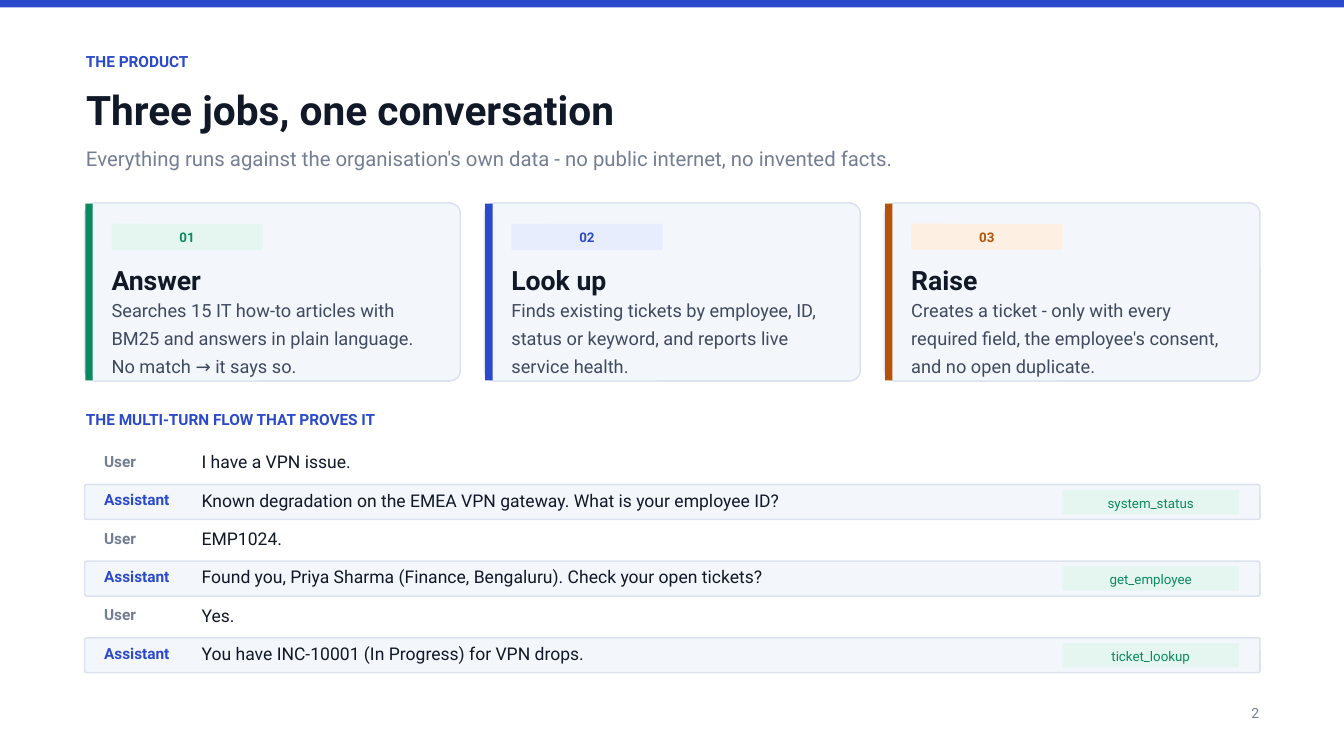
from dataclasses import dataclass
from typing import Any

from pptx import Presentation
from pptx.dml.color import RGBColor
from pptx.enum.shapes import MSO_SHAPE
from pptx.enum.text import MSO_ANCHOR, MSO_AUTO_SIZE, PP_ALIGN
from pptx.util import Emu, Pt

PX = 9144

COLORS = {
    "blue": "2B4ACB", "blue_tint": "E8EDFD",
    "green": "0B8A5F", "green_tint": "E4F6EF",
    "orange": "B55409", "orange_tint": "FDF0E3",
    "ink": "111827", "body": "3F495F", "muted": "747E93",
    "panel": "F3F6FB", "border": "DDE3EE",
}


@dataclass(frozen=True)
class Style:
    size: float
    leading: float
    color: str
    bold: bool = False
    align: PP_ALIGN = PP_ALIGN.LEFT


STYLES = {
    "eyebrow": Style(16.5, 25.4, "blue", True),
    "title": Style(43.5, 66.9, "ink", True),
    "subtitle": Style(21.8, 33.4, "muted"),
    "page": Style(15, 23.1, "muted", align=PP_ALIGN.RIGHT),
    "heading": Style(28.5, 43.8, "ink", True),
    "body": Style(19.5, 30, "body"),
    "user": Style(16.5, 25.4, "muted", True),
    "assistant": Style(16.5, 25.4, "blue", True),
    "message": Style(18.8, 28.8, "ink"),
}


@dataclass(frozen=True)
class Box:
    x: int
    y: int
    w: int
    h: int

    def emu(self) -> tuple[Emu, ...]:
        return tuple(Emu(v * PX) for v in (self.x, self.y, self.w, self.h))


@dataclass(frozen=True)
class Card:
    number: str
    color: str
    heading: str
    body: str


@dataclass(frozen=True)
class Turn:
    message: str
    tool: str = ""


CARDS = [
    Card("01", "green", "Answer",
         "Searches 15 IT how-to articles with BM25 and answers in plain language. "
         "No match → it says so."),
    Card("02", "blue", "Look up",
         "Finds existing tickets by employee, ID, status or keyword, "
         "and reports live service health."),
    Card("03", "orange", "Raise",
         "Creates a ticket - only with every required field, "
         "the employee's consent, and no open duplicate."),
]

TURNS = [
    Turn("I have a VPN issue."),
    Turn("Known degradation on the EMEA VPN gateway. What is your employee ID?",
         "system_status"),
    Turn("EMP1024."),
    Turn("Found you, Priya Sharma (Finance, Bengaluru). Check your open tickets?",
         "get_employee"),
    Turn("Yes."),
    Turn("You have INC-10001 (In Progress) for VPN drops.", "ticket_lookup"),
]


def rgb(name: str) -> RGBColor:
    return RGBColor.from_string(COLORS[name])


def apply(target: Any, values: dict[str, Any]) -> None:
    for name, value in values.items():
        setattr(target, name, value)


def write(sp: Any, text: str, style: Style, margin: int = 0,
          anchor: MSO_ANCHOR = MSO_ANCHOR.TOP) -> None:
    tf = sp.text_frame
    frame = dict.fromkeys(
        ("margin_left", "margin_top", "margin_right", "margin_bottom"), Emu(margin * PX))
    apply(tf, frame | {"word_wrap": True, "auto_size": MSO_AUTO_SIZE.NONE,
                       "vertical_anchor": anchor})
    p = tf.paragraphs[0]
    apply(p, {"alignment": style.align, "line_spacing": Pt(style.leading)})
    r = p.add_run()
    r.text = text
    apply(r.font, {"name": "Roboto", "size": Pt(style.size), "bold": style.bold})
    r.font.color.rgb = rgb(style.color)


def add_text(s: Any, box: Box, text: str, style: str) -> None:
    write(s.shapes.add_textbox(*box.emu()), text, STYLES[style])


def add_panel(s: Any, box: Box, fill: str, radius: int = 0, border: str = "") -> Any:
    kind = MSO_SHAPE.ROUNDED_RECTANGLE if radius else MSO_SHAPE.RECTANGLE
    sp = s.shapes.add_shape(kind, *box.emu())
    sp.shadow.inherit = False
    if radius:
        sp.adjustments[0] = radius / min(box.w, box.h)
    sp.fill.solid()
    sp.fill.fore_color.rgb = rgb(fill)
    if border:
        sp.line.color.rgb = rgb(border)
        sp.line.width = Pt(1.65)
    else:
        sp.line.fill.background()
    return sp


def add_chip(s: Any, box: Box, text: str, color: str, bold: bool) -> None:
    sp = add_panel(s, box, f"{color}_tint", 2)
    style = Style(14.3, 18.8, color, bold, PP_ALIGN.CENTER)
    write(sp, text, style, 6, MSO_ANCHOR.MIDDLE)


def add_card(s: Any, x: int, card: Card) -> None:
    add_panel(s, Box(x, 302, 559, 265), "panel", 16, "border")
    add_panel(s, Box(x + 1, 303, 11, 263), card.color)
    add_chip(s, Box(x + 40, 333, 225, 39), card.number, card.color, True)
    add_text(s, Box(x + 40, 379, 479, 62), card.heading, "heading")
    add_text(s, Box(x + 40, 436, 479, 121), card.body, "body")


def add_turn(s: Any, y: int, turn: Turn) -> None:
    speaker = "Assistant" if turn.tool else "User"
    if turn.tool:
        add_panel(s, Box(126, y - 1, 1749, 52), "panel", 3, "border")
        add_chip(s, Box(1581, y + 7, 263, 36), turn.tool, "green", False)
    add_text(s, Box(155, y, 150, 46), speaker, speaker.lower())
    add_text(s, Box(300, y - 2, 1201, 47), turn.message, "message")


def main() -> None:
    prs = Presentation()
    prs.slide_width, prs.slide_height = Emu(2000 * PX), Emu(1125 * PX)
    s = prs.slides.add_slide(prs.slide_layouts[5])

    title = s.shapes.title
    apply(title, dict(zip(("left", "top", "width", "height"),
                          Box(128, 106, 1746, 99).emu())))
    write(title, "Three jobs, one conversation", STYLES["title"])

    add_panel(s, Box(0, 0, 2000, 11), "blue")
    add_text(s, Box(128, 70, 1746, 53), "THE PRODUCT", "eyebrow")
    add_text(s, Box(128, 208, 1596, 45),
             "Everything runs against the organisation's own data - "
             "no public internet, no invented facts.", "subtitle")

    for i, card in enumerate(CARDS):
        add_card(s, 126 + 595 * i, card)

    add_text(s, Box(128, 603, 1746, 53), "THE MULTI-TURN FLOW THAT PROVES IT", "eyebrow")
    for i, turn in enumerate(TURNS):
        add_turn(s, 665 + 57 * i, turn)

    add_text(s, Box(1694, 1041, 180, 52), "2", "page")
    prs.save("out.pptx")


if __name__ == "__main__":
    main()
